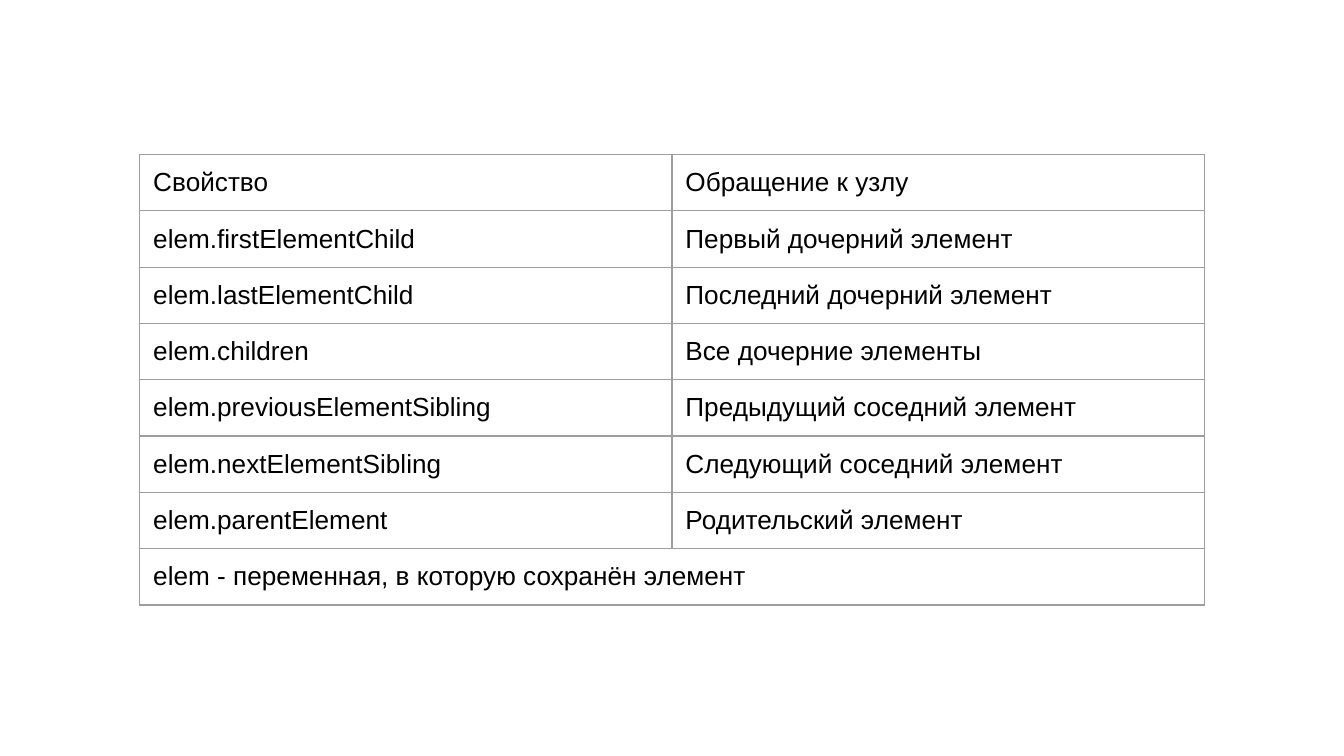
from dataclasses import dataclass

from lxml import etree
from pptx import Presentation
from pptx.dml.color import RGBColor
from pptx.oxml.ns import qn
from pptx.util import Inches, Pt

BLANK_LAYOUT = 6
BORDER_SIDES = ("a:lnL", "a:lnR", "a:lnT", "a:lnB")


@dataclass(frozen=True)
class Theme:
    font: str = "Arial"
    size: float = 14
    ink: str = "000000"
    paper: str = "FFFFFF"
    border: str = "9E9E9E"
    border_width: float = 0.75
    cell_margin: float = 0.1


THEME = Theme()

PROPERTIES = [
    ("Свойство", "Обращение к узлу"),
    ("elem.firstElementChild", "Первый дочерний элемент"),
    ("elem.lastElementChild", "Последний дочерний элемент"),
    ("elem.children", "Все дочерние элементы"),
    ("elem.previousElementSibling", "Предыдущий соседний элемент"),
    ("elem.nextElementSibling", "Следующий соседний элемент"),
    ("elem.parentElement", "Родительский элемент"),
]
FOOTNOTE = "elem - переменная, в которую сохранён элемент"


def add_borders(cell):
    properties = cell._tc.get_or_add_tcPr()
    for side in BORDER_SIDES:
        line = etree.SubElement(properties, qn(side), w=str(Pt(THEME.border_width)))
        fill = etree.SubElement(line, qn("a:solidFill"))
        etree.SubElement(fill, qn("a:srgbClr"), val=THEME.border)


def style_cell(cell):
    add_borders(cell)
    cell.fill.background()
    margin = Inches(THEME.cell_margin)
    cell.margin_left = cell.margin_right = margin
    cell.margin_top = cell.margin_bottom = margin
    for paragraph in cell.text_frame.paragraphs:
        paragraph.font.size = Pt(THEME.size)
        for run in paragraph.runs:
            run.font.name = THEME.font
            run.font.size = Pt(THEME.size)
            run.font.color.rgb = RGBColor.from_string(THEME.ink)


def add_property_table(slide, left, top, width, height):
    row_count = len(PROPERTIES) + 1
    column_count = len(PROPERTIES[0])
    table = slide.shapes.add_table(
        row_count, column_count,
        Inches(left), Inches(top), Inches(width), Inches(height),
    ).table
    table.first_row = False
    table.horz_banding = False

    for row, texts in enumerate(PROPERTIES):
        for column, text in enumerate(texts):
            table.cell(row, column).text_frame.text = text

    footnote = table.cell(row_count - 1, 0)
    footnote.merge(table.cell(row_count - 1, column_count - 1))
    footnote.text_frame.text = FOOTNOTE

    for cell in table.iter_cells():
        style_cell(cell)


def main():
    presentation = Presentation()
    presentation.slide_width = Inches(10)
    presentation.slide_height = presentation.slide_width * 9 // 16
    slide = presentation.slides.add_slide(presentation.slide_layouts[BLANK_LAYOUT])
    background = slide.background.fill
    background.solid()
    background.fore_color.rgb = RGBColor.from_string(THEME.paper)
    add_property_table(slide, left=1.04, top=1.15, width=7.92, height=3.35)
    presentation.save("out.pptx")


if __name__ == "__main__":
    main()
